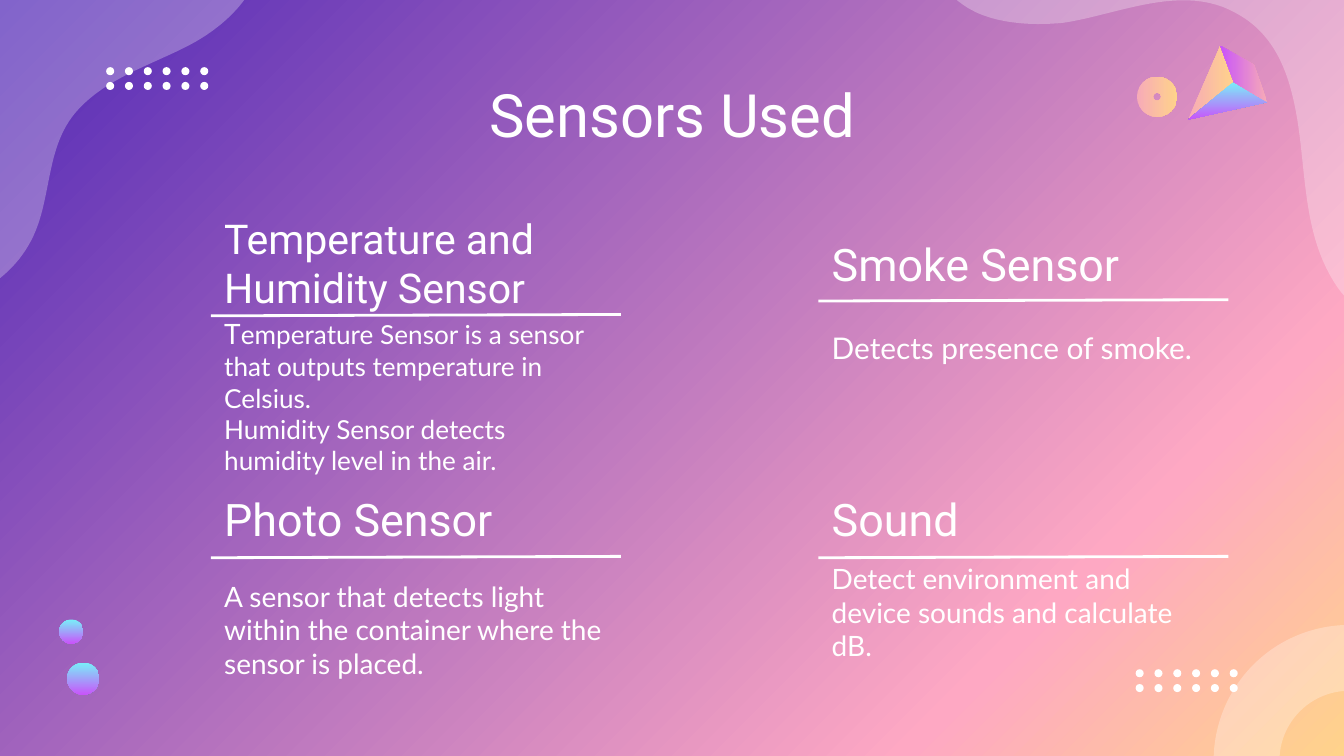
from copy import deepcopy
from itertools import product

from pptx import Presentation
from pptx.dml.color import RGBColor
from pptx.enum.shapes import MSO_CONNECTOR as Connector, MSO_SHAPE as Preset
from pptx.enum.text import MSO_ANCHOR as Anchor, PP_ALIGN as Align
from pptx.oxml.ns import qn
from pptx.util import Inches, Pt
from lxml.etree import SubElement

WHITE = RGBColor(0xFF, 0xFF, 0xFF)
INDIGO = RGBColor(0x52, 0x29, 0xB7)
PINK = RGBColor(0xFE, 0xA8, 0xC3)
PEACH = RGBColor(0xFF, 0xD3, 0x8B)
ROSE = RGBColor(0xF7, 0xAB, 0xB7)
CYAN = RGBColor(0x78, 0xF0, 0xF9)
VIOLET = RGBColor(0xC9, 0x54, 0xFA)

VEIL = 28  # opacity of the corner shapes, in percent
COLUMN_WIDTH = 3.05

# Corner blobs: a start point, then cubic curves (two controls and an end)
LEFT_BLOB = [(-0.42, 2.25), [
    [(-0.11, 2.21), (0.17, 1.99), (0.28, 1.68)],
    [(0.38, 1.4), (0.36, 1.08), (0.56, 0.84)],
    [(0.78, 0.58), (1.14, 0.48), (1.42, 0.33)],
    [(1.57, 0.25), (1.71, 0.14), (1.81, 0.01)],
    [(1.9, -0.11), (1.95, -0.25), (1.98, -0.4)],
    [(1.98, -0.45), (1.99, -0.5), (1.98, -0.56)],
], (-0.42, -0.56)]
RIGHT_BLOB = [(7.02, -0.11), [
    [(7.08, -0.02), (7.17, 0.05), (7.28, 0.1)],
    [(7.47, 0.18), (7.7, 0.19), (7.91, 0.17)],
    [(8.32, 0.11), (8.8, -0.13), (9.2, 0.1)],
    [(9.46, 0.24), (9.57, 0.49), (9.63, 0.77)],
    [(9.73, 1.23), (9.67, 1.74), (9.96, 2.15)],
    [(10.09, 2.32), (10.28, 2.46), (10.49, 2.5)],
    [(10.63, 2.53), (10.77, 2.52), (10.9, 2.48)],
], (9.96, -0.92)]

# Pyramid corners
APEX, CENTRE, LEFT, RIGHT = (9.08, 0.34), (9.18, 0.61), (8.84, 0.89), (9.43, 0.76)


def set_gradient(fill, colors, angle):
    fill.gradient()
    fill.gradient_angle = -angle % 360  # the library counts counter-clockwise
    for stop, color in zip(fill.gradient_stops, colors):
        stop.color.rgb = color


def style(shape, color=WHITE, opacity=100, gradient=None, angle=0):
    shape.shadow.inherit = False
    shape.line.fill.background()
    if gradient:
        set_gradient(shape.fill, gradient, angle)
        return
    shape.fill.solid()
    shape.fill.fore_color.rgb = color
    if opacity < 100:
        tint = shape.fill._xPr.find(qn("a:solidFill"))[0]
        SubElement(tint, qn("a:alpha"), val=str(opacity * 1000))


def add_background(page):
    fill = page.background.fill
    set_gradient(fill, [INDIGO, PEACH], 45)
    first = fill._fill._gradFill.find(qn("a:gsLst"))[0]
    first.addnext(deepcopy(first))
    middle = fill.gradient_stops[1]
    middle.position, middle.color.rgb = 0.79, PINK


def add_preset(page, kind, left, top, size, hole=None, **look):
    shape = page.shapes.add_shape(
        kind, Inches(left), Inches(top), Inches(size), Inches(size))
    if hole:
        shape.adjustments[0] = (1 - hole / size) / 2
    style(shape, **look)


def add_polygon(page, points, **look):
    corners = [(Inches(x), Inches(y)) for x, y in points]
    builder = page.shapes.build_freeform(*corners[0])
    builder.add_line_segments(corners[1:], close=True)
    style(builder.convert_to_shape(), **look)


def add_blob(page, start, curves, corner, steps=24):
    points = [start]
    for curve in curves:
        a, b, c, d = points[-1], *curve
        for step in range(1, steps + 1):
            t = step / steps
            u = 1 - t
            points.append(tuple(
                u**3 * a[i] + 3 * u * u * t * b[i] + 3 * u * t * t * c[i] + t**3 * d[i]
                for i in (0, 1)))
    add_polygon(page, points + [corner], opacity=VEIL)


def add_dots(page, left, top):
    for row, column in product(range(2), range(6)):
        add_preset(page, Preset.OVAL, left + 0.14 * column, top + 0.11 * row, 0.06)


def add_text(page, paragraphs, left, top, width, height, size, font, align=Align.LEFT):
    """Each paragraph is a string, or a list of (text, size) spans."""
    box = page.shapes.add_textbox(
        Inches(left), Inches(top), Inches(width), Inches(height))
    frame = box.text_frame
    frame.word_wrap = True
    frame.vertical_anchor = Anchor.MIDDLE
    frame.margin_left = frame.margin_right = Inches(0.1)
    frame.margin_top = frame.margin_bottom = Inches(0.1)
    for number, spans in enumerate(paragraphs):
        para = frame.add_paragraph() if number else frame.paragraphs[0]
        para.alignment = align
        for text, points in [(spans, size)] if isinstance(spans, str) else spans:
            span = para.add_run()
            span.text = text
            span.font.size, span.font.name = Pt(points), font
            span.font.color.rgb = WHITE


def add_rule(page, left, top):
    rule = page.shapes.add_connector(
        Connector.STRAIGHT, Inches(left), Inches(top),
        Inches(left + COLUMN_WIDTH), Inches(top - 0.01))
    rule.line.color.rgb, rule.line.width = WHITE, Pt(1.5)
    SubElement(rule._element.spPr, qn("a:effectLst"))


def add_sensor(page, left, heading, heading_area, heading_size,
               body, body_area, body_size, rule_top):
    for paragraphs, (top, height), size, font in (
            ([heading], heading_area, heading_size, "Roboto"),
            (body, body_area, body_size, "Lato")):
        add_text(page, paragraphs, left, top, COLUMN_WIDTH, height, size, font)
    add_rule(page, left, rule_top)


def main():
    deck = Presentation()
    deck.slide_width, deck.slide_height = Inches(10), Inches(10 * 9 / 16)
    page = deck.slides.add_slide(deck.slide_layouts[6])

    # Background and corner shapes
    add_background(page)
    add_blob(page, *LEFT_BLOB)
    add_preset(page, Preset.DONUT, 9.03, 4.65, 2.02, hole=1.04, opacity=VEIL)
    add_blob(page, *RIGHT_BLOB)

    # Title and the four sensors
    add_text(page, ["Sensors Used"], 0.79, 0.58, 8.43, 0.53, 32, "Roboto", Align.CENTER)
    add_sensor(page, 1.57, "Temperature and Humidity Sensor", (1.49, 0.93), 22,
               [[("T", 15), ("emperature Sensor is a sensor that outputs "
                             "temperature in Celsius.", 14)],
                "Humidity Sensor detects humidity level in the air."],
               (2.32, 1.26), 14, 2.35)
    add_sensor(page, 6.09, "Smoke Sensor", (1.67, 0.58), 24,
               ["Detects presence of smoke."], (2.32, 0.53), 16, 2.24)
    add_sensor(page, 1.57, "Photo Sensor", (3.57, 0.58), 24,
               ["A sensor that detects light within the container where the "
                "sensor is placed."], (4.22, 0.93), 15, 4.15)
    add_sensor(page, 6.09, "Sound", (3.57, 0.58), 24,
               ["Detect environment and device sounds and calculate dB."],
               (4.29, 0.53), 15, 4.15)

    # Dot grids
    add_dots(page, 8.45, 4.98)
    add_dots(page, 0.79, 0.5)

    # Pyramid, ring and balls
    add_polygon(page, [APEX, CENTRE, LEFT], gradient=[ROSE, PEACH])
    add_polygon(page, [LEFT, CENTRE, RIGHT], gradient=[CYAN, VIOLET], angle=90)
    add_polygon(page, [RIGHT, CENTRE, APEX, (9.33, 0.48)],
                gradient=[ROSE, VIOLET], angle=180)
    add_preset(page, Preset.DONUT, 8.46, 0.57, 0.3, hole=0.06, gradient=[ROSE, PEACH])
    for left, top, size in ((0.5, 4.93, 0.24), (0.44, 4.61, 0.18)):
        add_preset(page, Preset.OVAL, left, top, size, gradient=[CYAN, VIOLET], angle=90)

    deck.save("out.pptx")


if __name__ == "__main__":
    main()
